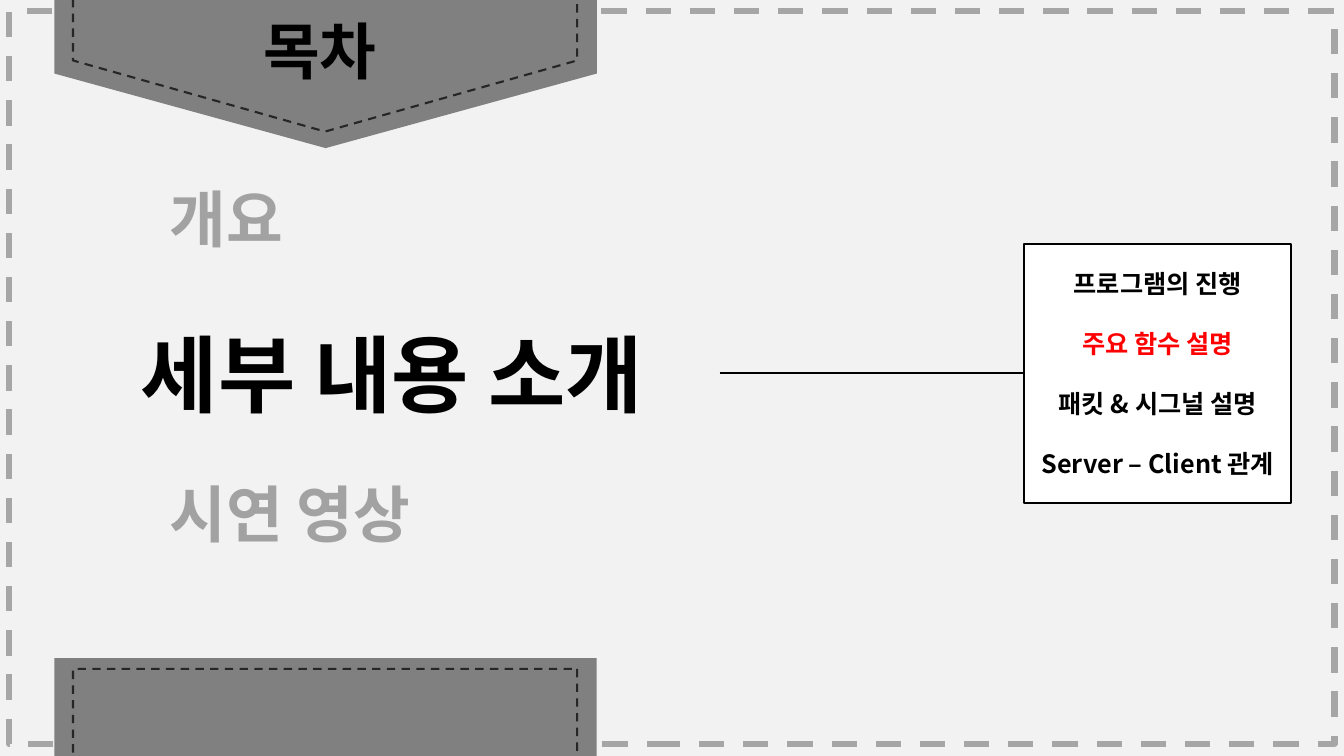
from lxml import etree
from pptx import Presentation, util as u
from pptx.dml.color import RGBColor
from pptx.enum import dml, shapes, text
from pptx.oxml.ns import qn

HUE = {"page": "F2F2F2", "edge": "A6A6A6", "band": "808080", "hem": "262626",
       "ink": "000000", "card": "FFFFFF", "mark": "FF0000"}
RGB = {name: RGBColor.from_string(code) for name, code in HUE.items()}
FACE = "Noto Sans CJK KR"
KIND = shapes.MSO_SHAPE
RECT, PLATE = KIND.RECTANGLE, KIND.PENTAGON

deck = Presentation()
deck.slide_width, deck.slide_height = u.Inches(13.33), u.Inches(7.5)
col, row = deck.slide_width / 160, deck.slide_height / 90
slide = deck.slides.add_slide(deck.slide_layouts[1])
slide.background.fill.solid()
slide.background.fill.fore_color.rgb = RGB["page"]
tree = slide.shapes


def draw(kind, box, fill, line, width, dash=False):
    x, y, w, h = box
    if kind == PLATE:
        x, y, w, h = x + (w - h) / 2, y + (h - w) / 2, h, w
    shape = tree.add_shape(kind, int(x * col), int(y * row), int(w * col), int(h * row))
    shape.rotation = 90 if kind == PLATE else 0
    shape.shadow.inherit = False
    if fill:
        shape.fill.solid()
        shape.fill.fore_color.rgb = RGB[fill]
    else:
        shape.fill.background()
    shape.line.color.rgb = RGB[line]
    shape.line.width = u.Pt(width)
    if dash:
        shape.line.dash_style = dml.MSO_LINE.DASH
    return shape


def write(shape, lines, size, gap=0, align=text.PP_ALIGN.LEFT,
          anchor=text.MSO_ANCHOR.TOP):
    frame = shape.text_frame
    look = {"word_wrap": True, "vertical_anchor": anchor,
            "auto_size": text.MSO_AUTO_SIZE.NONE}
    for key, value in look.items():
        setattr(frame, key, value)
    for i, (words, hue) in enumerate(lines):
        para = frame.paragraphs[0] if i == 0 else frame.add_paragraph()
        para.alignment = align
        para.space_before = u.Pt(gap if i else 0)
        prop = para._p.get_or_add_pPr()
        prop.set("marL", "0")
        prop.set("indent", "0")
        etree.SubElement(prop, qn("a:buNone"))
        run = para.add_run()
        run.text = words
        font = {"name": FACE, "size": u.Pt(size), "bold": True}
        for key, value in font.items():
            setattr(run.font, key, value)
        run.font.color.rgb = RGB[hue]
        etree.SubElement(run._r.rPr, qn("a:ea"), typeface=FACE)


title, menu = tree.title, tree.placeholders[1]
head = tree.add_textbox(0, 0, 0, 0)
spots = [(title, (30.12, 0.96, 17.28, 10.08)),
         (menu, (18.96, 20.88, 34.68, 45.6)),
         (head, (15.6, 37.8, 70.08, 13.32))]
for item, (x, y, w, h) in spots:
    place = {"left": x * col, "top": y * row, "width": w * col, "height": h * row}
    for key, value in place.items():
        setattr(item, key, int(value))

draw(RECT, (1.08, 1.32, 157.8, 87.24), None, "edge", 4.5, True)

bands = [(PLATE, (6.48, -0.12, 64.56, 17.76), (8.7, -1.26, 60, 16.92)),
         (RECT, (6.48, 78.36, 64.56, 11.64), (8.7, 79.62, 60, 29.16))]
for kind, band, hem in bands:
    draw(kind, band, "band", "band", 1).line.fill.background()
    draw(PLATE, hem, None, "hem", 1.5, True)

write(menu, [("개요", "ink"), ("시연 영상", "ink")], 44, gap=158.6)
tree._spTree.append(menu._element)
for y, h in [(20.28, 13.08), (53.88, 15.48)]:
    veil = draw(RECT, (15.6, y, 59.76, h), "page", "page", 1)
    tint = veil.fill._xPr.find(qn("a:solidFill"))[0]
    etree.SubElement(tint, qn("a:alpha"), val="67000")

card = draw(RECT, (121.92, 29.04, 31.8, 30.84), "card", "ink", 1.5)
topics = [("프로그램의 진행", "ink"), ("주요 함수 설명", "mark"),
          ("패킷 & 시그널 설명", "ink"), ("Server – Client 관계", "ink")]
write(card, topics, 18, gap=21.5, align=text.PP_ALIGN.CENTER,
      anchor=text.MSO_ANCHOR.MIDDLE)

mid = card.top + card.height // 2
link = tree.add_connector(shapes.MSO_CONNECTOR.STRAIGHT,
                          head.left + head.width, mid, card.left, mid)
link.line.color.rgb = RGB["ink"]
link.line.width = u.Pt(1.5)
etree.SubElement(link._element.spPr, qn("a:effectLst"))

for item, words, size in [(title, "목차", 44), (head, "세부 내용 소개", 60)]:
    write(item, [(words, "ink")], size)
    tree._spTree.append(item._element)

deck.save("out.pptx")
